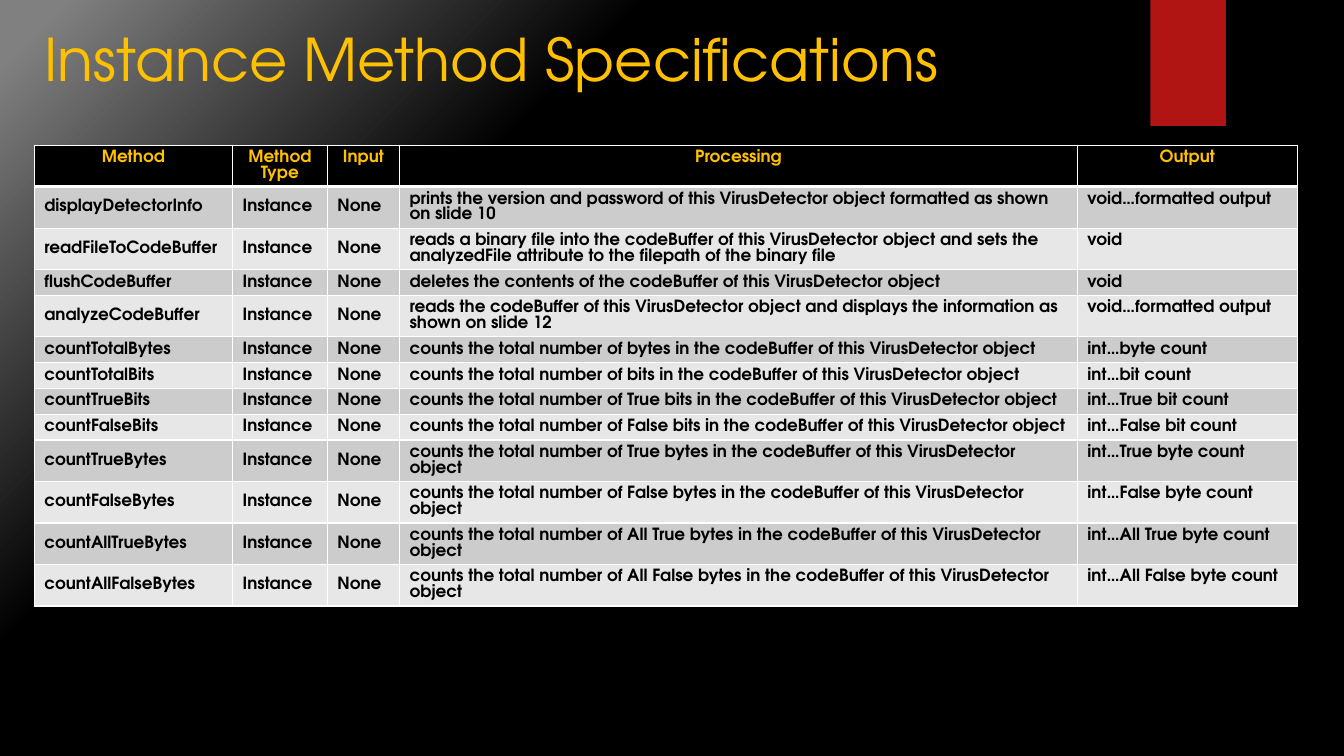
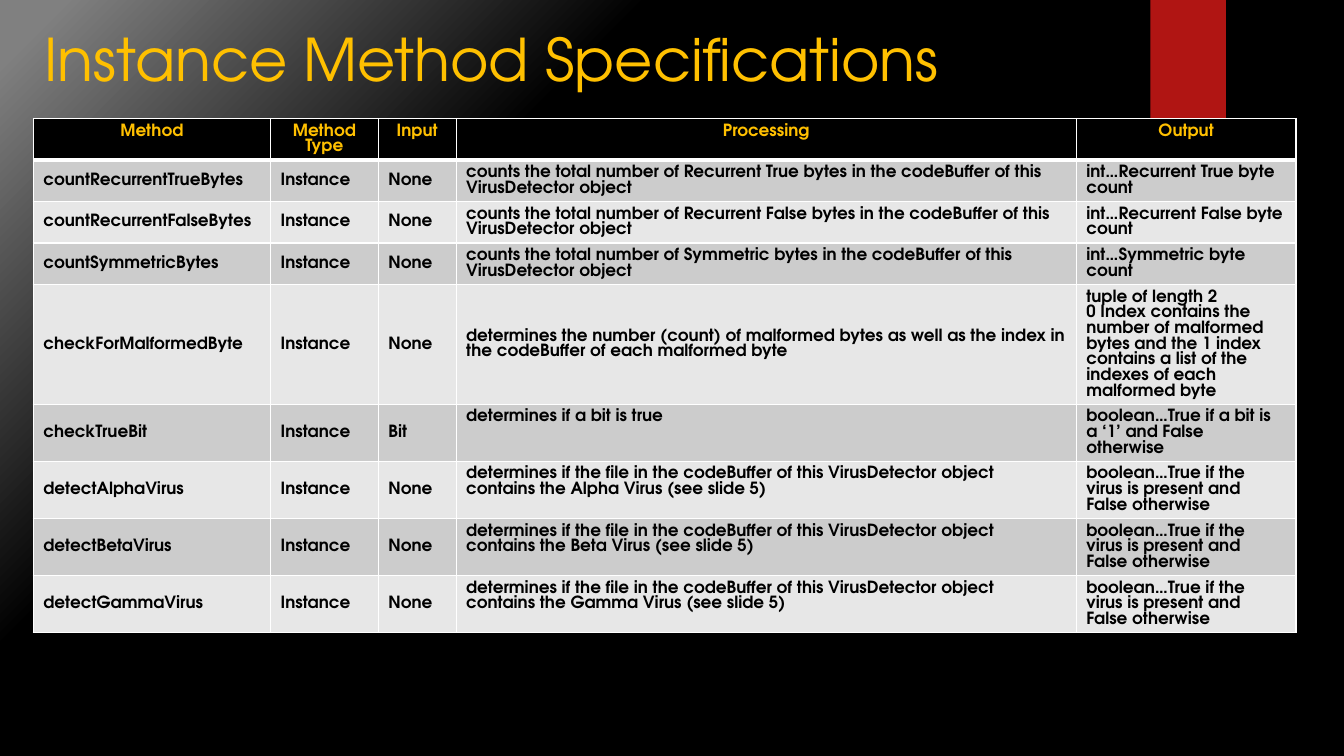
from pptx import Presentation
from pptx.dml.color import RGBColor
from pptx.enum.shapes import MSO_SHAPE as SHAPE
from pptx.enum.text import MSO_ANCHOR as ANCHOR, PP_ALIGN as ALIGN
from pptx.oxml import parse_xml
from pptx.oxml.ns import nsdecls
from pptx.util import Pt

HUE = {"ink": "000000", "gold": "FFC000", "red": "B01513", "glow": "50B9C1",
       "gray": "808080", "dark": "CCCCCC", "pale": "E7E7E7", "rule": "FFFFFF"}
FONT = "TeX Gyre Adventor"
LEAD = 11.2  # line pitch of the table text
PAD = 3.6    # space above and below the text of a cell
HEAD = ["Method", "Method Type", "Input", "Processing", "Output"]


def rgb(name):
    return RGBColor.from_string(HUE[name])


def blend(node, path, stops, focus):
    """Swap the solid fill at path for a round gradient of (place, colour, alpha) stops."""
    marks = "".join(
        f'<a:gs pos="{pos * 1000}"><a:srgbClr val="{HUE[name]}">'
        f'<a:alpha val="{alpha * 1000}"/></a:srgbClr></a:gs>'
        for pos, name, alpha in stops)
    edges = " ".join(f'{side}="{part * 1000}"' for side, part in zip("ltrb", focus))
    solid = node.xpath(path + "/a:solidFill")[0]
    solid.getparent().replace(solid, parse_xml(
        f'<a:gradFill {nsdecls("a")} rotWithShape="1"><a:gsLst>{marks}</a:gsLst>'
        f'<a:path path="circle"><a:fillToRect {edges}/></a:path></a:gradFill>'))


def paint(master):
    master.background.fill.solid()
    blend(master.element, ".//p:bgPr",
          [(0, "ink", 100), (23, "ink", 100), (69, "ink", 100), (97, "gray", 100)],
          (100, 100, 0, 0))


def style(para, size, color, bold=False):
    for run in para.runs:
        font = run.font
        font.name, font.size, font.bold = FONT, Pt(size), bold
        font.color.rgb = rgb(color)


def plate(slide, kind, box, color):
    shape = slide.shapes.add_shape(kind, *map(Pt, box))
    shape.shadow.inherit = False
    shape.fill.solid()
    shape.fill.fore_color.rgb = rgb(color)
    shape.line.fill.background()
    return shape


def decor(slide):
    glow = plate(slide, SHAPE.OVAL, (677.5, 131.8, 221.8, 221.8), "glow")
    blend(glow._element, "./p:spPr",
          [(0, "glow", 7), (36, "glow", 6), (69, "glow", 0)], (50, 50, 50, 50))
    plate(slide, SHAPE.RECTANGLE, (821.7, 0, 54, 90), "red")


def title(slide, text, box):
    frame = slide.shapes.add_textbox(*map(Pt, box)).text_frame
    frame.word_wrap = True
    frame.vertical_anchor = ANCHOR.MIDDLE
    frame.text = text
    style(frame.paragraphs[0], 42, "gold")


def border(cell, top, bottom):
    props = cell._tc.get_or_add_tcPr()
    for side, width in zip("LRTB", (1, 1, top, bottom)):
        props.append(parse_xml(
            f'<a:ln{side} {nsdecls("a")} w="{Pt(width)}"><a:solidFill>'
            f'<a:srgbClr val="{HUE["rule"]}"/></a:solidFill></a:ln{side}>'))


def fill(cell, text, row, mid):
    head = row == 0
    border(cell, 3 if row == 1 else 1, 3 if head else 1)
    cell.fill.solid()
    cell.fill.fore_color.rgb = rgb("ink" if head else "dark" if row % 2 else "pale")
    cell.vertical_anchor = ANCHOR.MIDDLE if mid else ANCHOR.TOP
    cell.text = text
    for para in cell.text_frame.paragraphs:
        para.line_spacing = Pt(LEAD)
        para.alignment = ALIGN.CENTER if head else ALIGN.LEFT
        style(para, 12, "gold" if head else "ink", True)


def grid(slide, left, top, widths, rows):
    """Each row is (lines of its tallest cell, method, input, processing, output)."""
    full = [(2, HEAD)] + [(size, [name, "Instance", *rest]) for size, name, *rest in rows]
    high = [2 * PAD + LEAD * size for size, _ in full]
    table = slide.shapes.add_table(len(full), len(HEAD), Pt(left), Pt(top),
                                   Pt(sum(widths)), Pt(sum(high))).table
    for col, width in zip(table.columns, widths):
        col.width = Pt(width)
    for row, (size, texts) in enumerate(full):
        table.rows[row].height = Pt(high[row])
        for col, text in enumerate(texts):
            mid = row > 0 and (col < 3 or size > 3)
            fill(table.cell(row, col), text, row, mid)


def page(deck, *spec_table):
    slide = deck.slides.add_slide(deck.slide_layouts[6])
    decor(slide)
    grid(slide, *spec_table)
    title(slide, "Instance Method Specifications", (24.5, 14.4, 674, 54))


def count(size, what, tail=None):
    name = "count" + what.replace(" ", "")
    unit = what.split()[-1].lower()
    kind = what.rsplit(" ", 1)[0]
    noun = unit if kind == "Total" else f"{kind} {unit}"
    return (size, name, "None",
            f"counts the total number of {noun} in the codeBuffer of this VirusDetector object",
            f"int…{noun[:-1]} count")


def detect(virus):
    return (3, f"detect{virus}Virus", "None",
            "determines if the file in the codeBuffer of this VirusDetector object "
            f"contains the {virus} Virus (see slide 5)",
            "boolean…True if the virus is present and False otherwise")


BASIC = [
    (2, "displayDetectorInfo", "None",
     "prints the version and password of this VirusDetector object formatted as shown "
     "on slide 10", "void…formatted output"),
    (2, "readFileToCodeBuffer", "None",
     "reads a binary file into the codeBuffer of this VirusDetector object and sets the "
     "analyzedFile attribute to the filepath of the binary file", "void"),
    (1, "flushCodeBuffer", "None",
     "deletes the contents of the codeBuffer of this VirusDetector object", "void"),
    (2, "analyzeCodeBuffer", "None",
     "reads the codeBuffer of this VirusDetector object and displays the information as "
     "shown on slide 12", "void…formatted output"),
    *(count(1, what) for what in ("Total Bytes", "Total Bits", "True Bits", "False Bits")),
    *(count(2, what) for what in ("True Bytes", "False Bytes",
                                  "All True Bytes", "All False Bytes")),
]
CHECKS = [
    *(count(2, what) for what in ("Recurrent True Bytes", "Recurrent False Bytes",
                                  "Symmetric Bytes")),
    (7, "checkForMalformedByte", "None",
     "determines the number (count) of malformed bytes as well as the index in the "
     "codeBuffer of each malformed byte",
     "tuple of length 2\n0 Index contains the number of malformed bytes and the 1 index "
     "contains a list of the indexes of each malformed byte"),
    (3, "checkTrueBit", "Bit", "determines if a bit is true",
     "boolean…True if a bit is a ‘1’ and False otherwise"),
    *map(detect, ("Alpha", "Beta", "Gamma")),
]


def main():
    deck = Presentation()
    deck.slide_width, deck.slide_height = Pt(960), Pt(540)
    paint(deck.slide_master)
    page(deck, 24.5, 103.7, (141.6, 67.7, 51.6, 484.2, 157), BASIC)
    page(deck, 23.8, 84.7, (169.4, 77, 55.6, 443, 157), CHECKS)
    deck.save("out.pptx")


if __name__ == "__main__":
    main()
